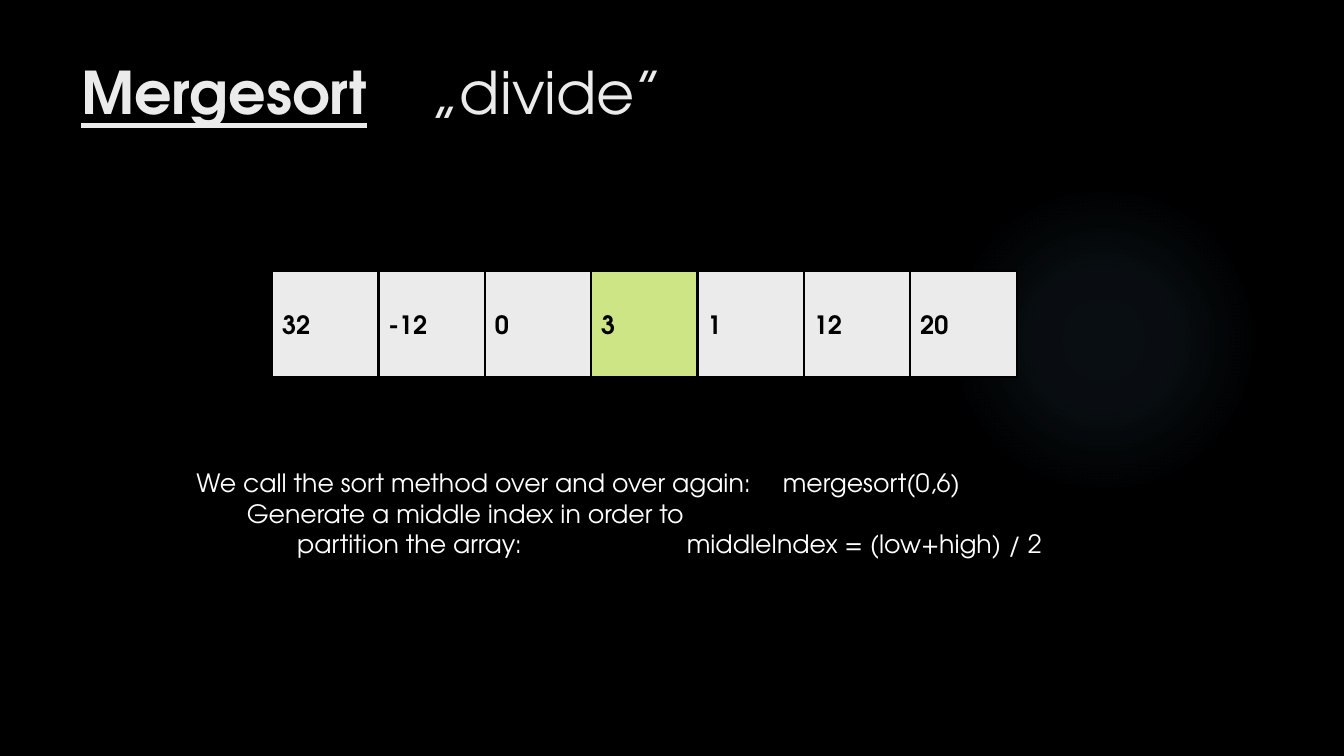
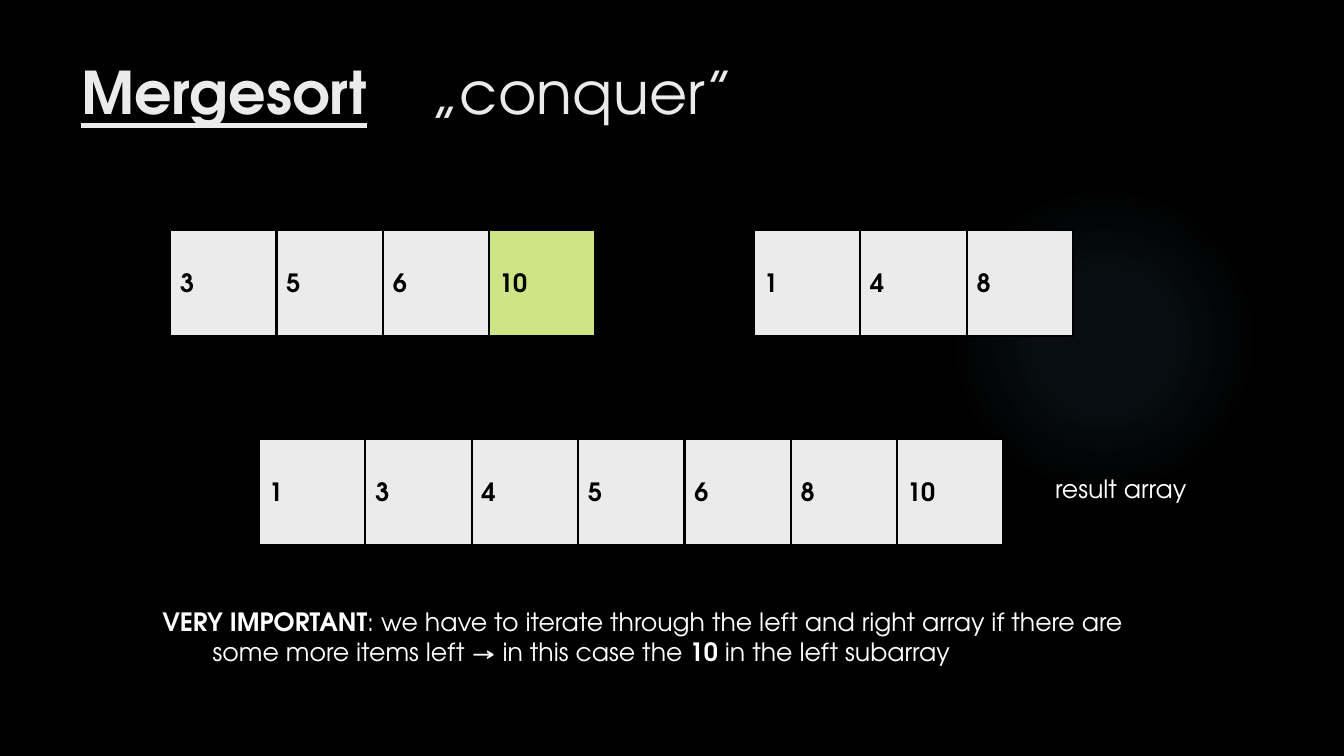
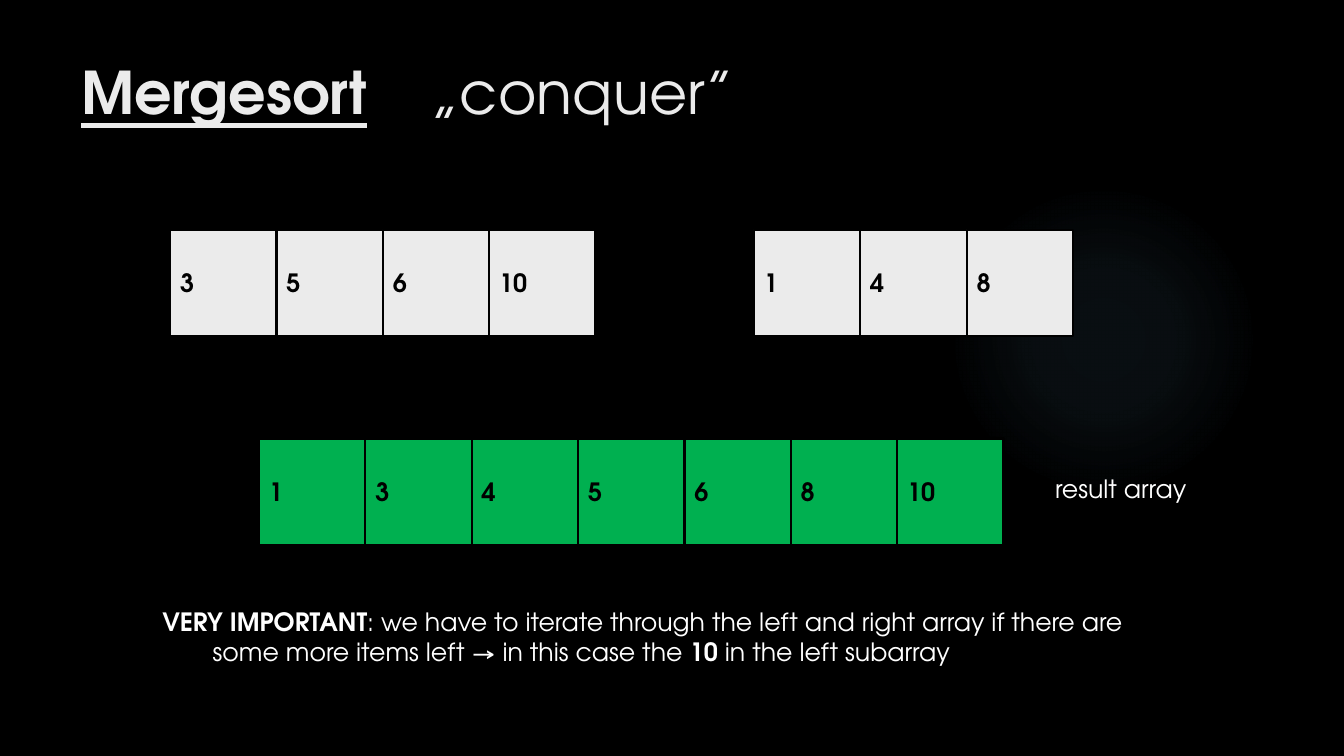
"""Build three slides that explain the divide and conquer steps of mergesort."""
from pptx import Presentation
from pptx.dml.color import RGBColor
from pptx.enum.shapes import MSO_SHAPE
from pptx.oxml import parse_xml
from pptx.oxml.ns import nsdecls
from pptx.oxml.xmlchemy import OxmlElement
from pptx.util import Cm, Pt

FONT = "TeX Gyre Adventor"
BLACK = RGBColor(0x00, 0x00, 0x00)
WHITE = RGBColor(0xFF, 0xFF, 0xFF)
LIGHT = RGBColor(0xEB, 0xEB, 0xEB)
LIME = RGBColor(0xCD, 0xE5, 0x85)
GREEN = RGBColor(0x00, 0xB0, 0x50)
GLOW = RGBColor(0x7A, 0xC4, 0xF0)
GLOW_STOPS = [(0, 7), (36, 6), (69, 0)]

CELL = 2.68
LEFT_HALF = [3, 5, 6, 10]
RIGHT_HALF = [1, 4, 8]


def style_run(r, size, color, bold=False, underline=False):
    """Give a run the deck's font."""
    f = r.font
    f.name, f.size, f.bold, f.underline = FONT, Pt(size), bold, underline
    f.color.rgb = color


def set_tabs(p, stops):
    """Set left tab stops, in centimetres, on a paragraph."""
    tabs = OxmlElement("a:tabLst")
    for stop in stops:
        tab = OxmlElement("a:tab")
        tab.set("pos", str(int(Cm(stop))))
        tab.set("algn", "l")
        tabs.append(tab)
    p._p.get_or_add_pPr().append(tabs)


def add_text(slide, box, lines, size=18, color=WHITE):
    """Add a text box; each line is (tab stops, [(text, bold, underline), ...])."""
    tf = slide.shapes.add_textbox(*map(Cm, box)).text_frame
    tf.word_wrap = True
    for i, (stops, runs) in enumerate(lines):
        p = tf.add_paragraph() if i else tf.paragraphs[0]
        if stops:
            set_tabs(p, stops)
        for text, *emphasis in runs:
            r = p.add_run()
            r.text = text
            style_run(r, size, color, *emphasis)


def add_glow(slide):
    """Add the faint round glow at the right."""
    sp = slide.shapes.add_shape(MSO_SHAPE.OVAL, Cm(23.9), Cm(4.65), Cm(7.82), Cm(7.82))
    sp.shadow.inherit = False
    sp.line.fill.background()
    sp.fill.background()
    stops = "".join(
        f'<a:gs pos="{pos * 1000}"><a:srgbClr val="{GLOW}">'
        f'<a:alpha val="{alpha * 1000}"/></a:srgbClr></a:gs>'
        for pos, alpha in GLOW_STOPS
    )
    grad = parse_xml(
        f'<a:gradFill {nsdecls("a")}><a:gsLst>{stops}</a:gsLst><a:path path="circle">'
        '<a:fillToRect l="50000" t="50000" r="50000" b="50000"/></a:path></a:gradFill>'
    )
    spPr = sp._element.spPr
    spPr.replace(spPr.eg_fillProperties, grad)


def add_base_slide(prs, step):
    """Add a slide with the glow and the title for one step."""
    slide = prs.slides.add_slide(prs.slide_layouts[6])
    add_glow(slide)
    title = [("Mergesort", True, True), (f"\t„{step}”",)]
    add_text(slide, (1.8, 1.27, 26.14, 3.89), [([8.8], title)], 42, LIGHT)
    return slide


def add_array(slide, left, top, values, fill=LIGHT, marked=None):
    """Draw an array as a row of cells, with the cell at index marked in lime."""
    for i, value in enumerate(values):
        sp = slide.shapes.add_shape(
            MSO_SHAPE.RECTANGLE, Cm(left + i * CELL), Cm(top), Cm(CELL), Cm(CELL)
        )
        sp.shadow.inherit = False
        sp.fill.solid()
        sp.fill.fore_color.rgb = LIME if i == marked else fill
        sp.line.color.rgb = BLACK
        sp.line.width = Pt(1.5)
        sp.text_frame.text = str(value)
        style_run(sp.text_frame.paragraphs[0].runs[0], 18, BLACK, True)


def add_divide_slide(prs):
    """Show the array with its middle item marked."""
    slide = add_base_slide(prs, "divide")
    add_array(slide, 6.86, 6.83, [32, -12, 0, 3, 1, 12, 20], marked=3)
    add_text(slide, (4.7, 11.66, 24.71, 2.57), [
        ([14.78], [("We call the sort method over and over again:\tmergesort(0,6)",)]),
        ([1.27], [("\tGenerate a middle index in order to",)]),
        ([2.54, 12.36], [("\tpartition the array:\tmiddleIndex = (low+high) / 2",)]),
    ])


def add_conquer_slide(prs, result_fill=LIGHT, marked=None):
    """Show the two sorted halves above the merged result."""
    slide = add_base_slide(prs, "conquer")
    add_array(slide, 4.29, 5.79, LEFT_HALF, marked=marked)
    add_array(slide, 19, 5.79, RIGHT_HALF)
    add_array(slide, 6.53, 11.05, sorted(LEFT_HALF + RIGHT_HALF), result_fill)
    add_text(slide, (26.34, 11.81, 4.2, 1.02), [([], [("result array",)])])
    add_text(slide, (3.84, 15.16, 25.37, 1.8), [
        ([], [("VERY IMPORTANT", True),
              (": we have to iterate through the left and right array if there are",)]),
        ([1.27], [("\tsome more items left → in this case the ",),
                  ("10", True), (" in the left subarray",)]),
    ])


def main():
    """Build and save the deck."""
    prs = Presentation()
    prs.slide_width, prs.slide_height = Cm(33.87), Cm(19.05)
    background = prs.slide_master.background.fill
    background.solid()
    background.fore_color.rgb = BLACK
    add_divide_slide(prs)
    add_conquer_slide(prs, marked=3)
    add_conquer_slide(prs, result_fill=GREEN)
    prs.save("out.pptx")


if __name__ == "__main__":
    main()
